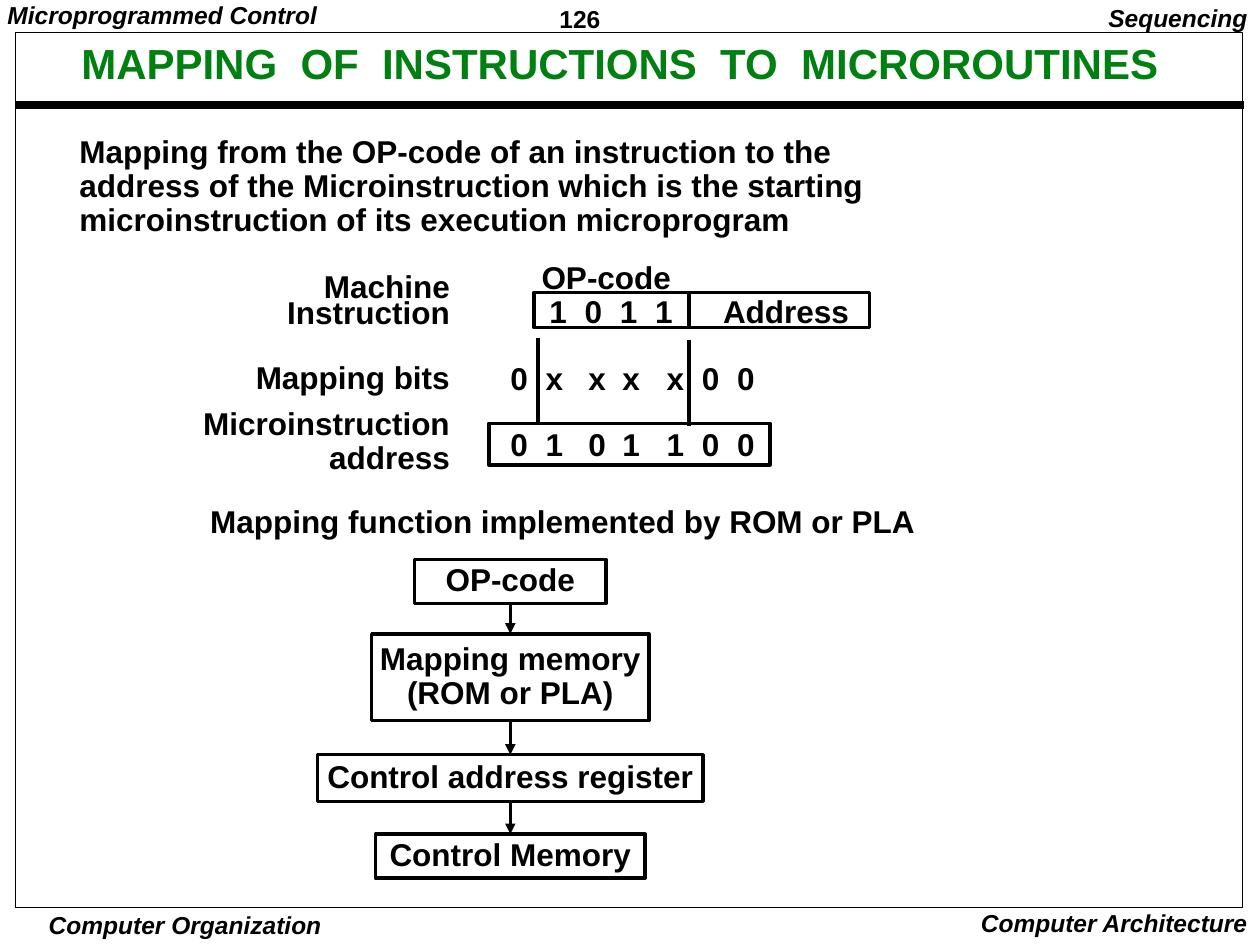
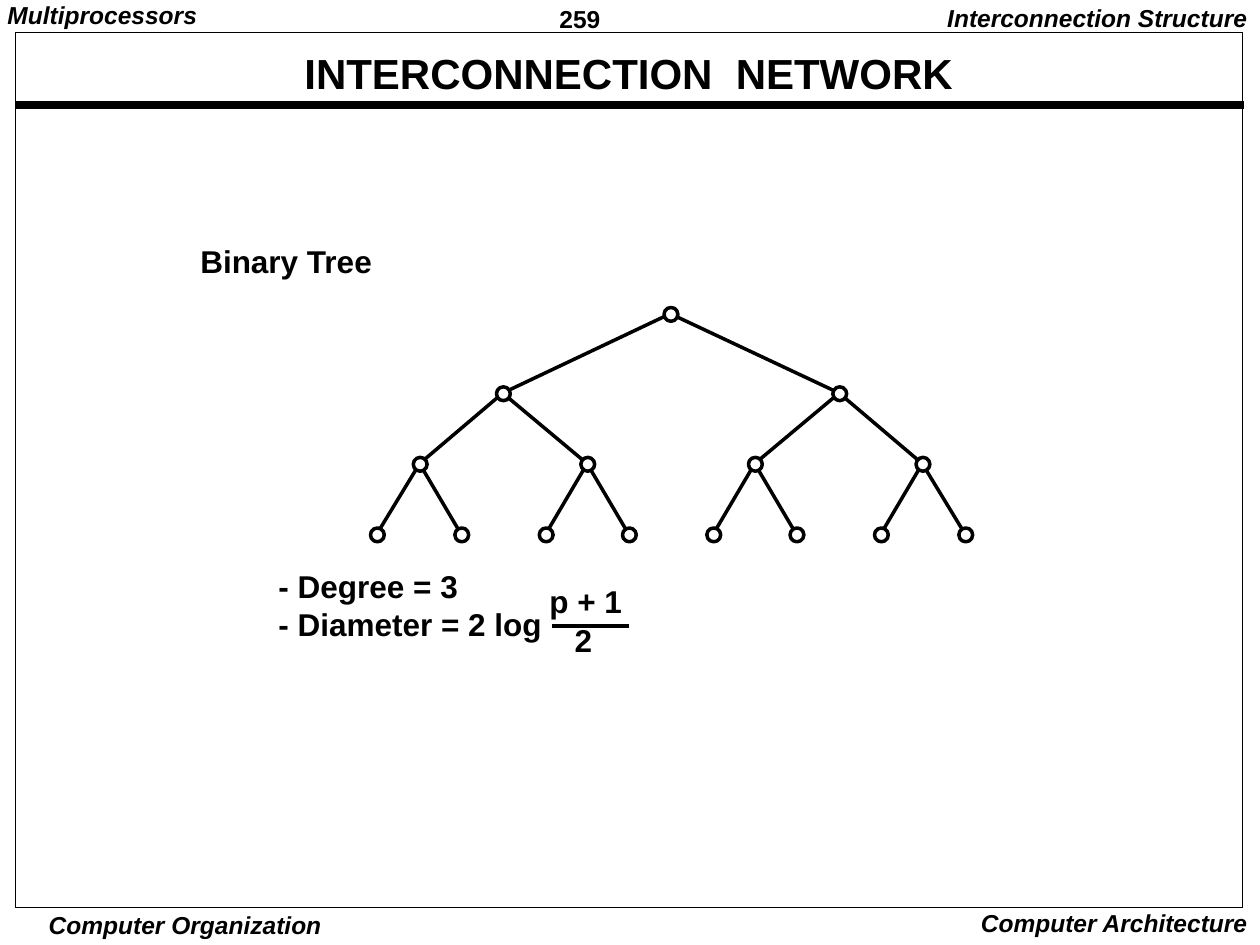
import pptx
import pptx.util
import pptx.dml.color
import pptx.enum.shapes
import pptx.enum.text
import pptx.oxml.ns
import lxml.etree
from dataclasses import dataclass

PX = 9144
ALIGN = pptx.enum.text.PP_ALIGN
ANCHOR = pptx.enum.text.MSO_ANCHOR
SHAPE = pptx.enum.shapes.MSO_SHAPE
STRAIGHT = pptx.enum.shapes.MSO_CONNECTOR.STRAIGHT
qn = pptx.oxml.ns.qn


@dataclass(frozen=True)
class Theme:
    font: str = "Arial"
    ink: pptx.dml.color.RGBColor = pptx.dml.color.RGBColor(0, 0, 0)
    paper: pptx.dml.color.RGBColor = pptx.dml.color.RGBColor(255, 255, 255)
    green: pptx.dml.color.RGBColor = pptx.dml.color.RGBColor(0, 0x80, 0x11)
    title: int = 24
    text: int = 18
    running: int = 14
    frame: float = 0.5
    stroke: float = 2
    band: float = 4.5


theme = Theme()


def write(frame, lines, size=theme.text, color=theme.ink, align=ALIGN.LEFT, spacing=0.9,
          italic=False, inset=(10, 5), anchor=ANCHOR.TOP):
    side, edge = inset[0] * PX, inset[1] * PX
    frame_format = {"word_wrap": True, "auto_size": pptx.enum.text.MSO_AUTO_SIZE.NONE,
                    "vertical_anchor": anchor, "margin_left": side, "margin_right": side,
                    "margin_top": edge, "margin_bottom": edge}
    para_format = {"alignment": align, "line_spacing": spacing, "space_before": 0}
    font_format = {"name": theme.font, "size": pptx.util.Pt(size), "bold": True, "italic": italic}
    for name, value in frame_format.items():
        setattr(frame, name, value)
    for index, line in enumerate(lines):
        para = frame.add_paragraph() if index else frame.paragraphs[0]
        properties = para._p.get_or_add_pPr()
        properties.set("marL", "0")
        properties.set("indent", "0")
        lxml.etree.SubElement(properties, qn("a:buNone"))
        for name, value in para_format.items():
            setattr(para, name, value)
        span = para.add_run()
        span.text = line
        for name, value in font_format.items():
            setattr(span.font, name, value)
        span.font.color.rgb = color


def draw_line(page, ends, weight=theme.stroke):
    line = page.shapes.add_connector(STRAIGHT, *[end * PX for end in ends])
    line.line.width = pptx.util.Pt(weight)
    line.line.color.rgb = theme.ink
    lxml.etree.SubElement(line._element.spPr, qn("a:effectLst"))
    return line


deck = pptx.Presentation()
deck.slide_width, deck.slide_height = 1000 * PX, 750 * PX

paragraph = ["Mapping from the OP-code of an instruction to the",
             "address of the Microinstruction which is the starting",
             "microinstruction of its execution microprogram"]
facts = ["- Degree = 3", "- Diameter = 2 log"]
right = {"align": ALIGN.RIGHT}
small = {"inset": (7, 3)}

address_columns = (405, 433, 467, 494, 529, 557, 585)
bit_rows = [("1011", (436, 464, 492, 520), 235),
            ("0xxxx00", address_columns, 288),
            ("0101100", address_columns, 341)]
bit_labels = [([bit], (left, top, 20, 27), {"inset": (0, 0)})
              for bits, columns, top in bit_rows for bit, left in zip(bits, columns)]

contents = [
    {"chapter": "Microprogrammed Control", "number": "126", "section": "Sequencing",
     "title": "MAPPING  OF  INSTRUCTIONS  TO  MICROROUTINES", "color": theme.green,
     "title_at": (0, 20, 984, 65),
     "body": paragraph, "body_at": (53, 103, 660, 91), "body_format": {},
     "labels": [
         (["OP-code"], (420, 203, 130, 37), {}),
         (["Address"], (564, 230, 124, 37), {}),
         (["Machine", "Instruction"], (207, 215, 160, 52), {**right, "spacing": 0.7}),
         (["Mapping bits"], (187, 283, 180, 37), right),
         (["Microinstruction", "address"], (137, 319, 230, 64), right),
         (["Mapping function implemented by ROM or PLA"], (157, 397, 600, 37), {}),
         *bit_labels]},
    {"chapter": "Multiprocessors", "number": "259", "section": "Interconnection Structure",
     "title": "INTERCONNECTION  NETWORK", "color": theme.ink,
     "title_at": (18, 34, 962, 53),
     "body": facts, "body_at": (214, 447, 240, 66), "body_format": {**small, "spacing": 1.01},
     "labels": [
         (["Binary Tree"], (152, 189, 160, 36), {**small, "spacing": 1.01}),
         (["p + 1"], (429, 462, 80, 33), small),
         (["2"], (449, 493, 30, 33), small)]},
]

pages = []
for content in contents:
    page = deck.slides.add_slide(deck.slide_layouts[1])
    pages.append(page)

    draw_line(page, (12, 83, 987, 83), theme.band)
    border = page.shapes.add_shape(SHAPE.RECTANGLE, 12 * PX, 26 * PX, 974 * PX, 694 * PX)
    border.shadow.inherit = False
    border.fill.background()
    border.line.color.rgb = theme.ink
    border.line.width = pptx.util.Pt(theme.frame)

    title, body = page.placeholders
    for holder, place in ((title, content["title_at"]), (body, content["body_at"])):
        for name, value in zip(("left", "top", "width", "height"), place):
            setattr(holder, name, value * PX)
    write(title.text_frame, [content["title"]], size=theme.title, color=content["color"],
          align=ALIGN.CENTER, anchor=ANCHOR.MIDDLE)
    write(body.text_frame, content["body"], **content["body_format"])

    running = {"size": theme.running, "italic": True}
    running_labels = [
        ([content["chapter"]], (0, 0, 270, 27), {**running, "inset": (6, 3)}),
        ([content["number"]], (437, 0, 108, 29),
         {**small, "size": theme.running, "spacing": 1.01}),
        ([content["section"]], (740, 0, 260, 31), {**running, **right}),
        (["Computer Organization"], (36, 721, 222, 26),
         {**running, "align": ALIGN.CENTER, "spacing": 1.0, "inset": (0, 1)}),
        (["Computer Architecture"], (760, 716, 240, 33), {**running, **right, "spacing": 1.0}),
    ]
    for lines, place, text_format in running_labels + content["labels"]:
        label = page.shapes.add_textbox(*[value * PX for value in place])
        write(label.text_frame, lines, **text_format)

mapping, network = pages

flow_middle = 405
flow = [(["OP-code"], 444, 152, 35),
        (["Mapping memory", "(ROM or PLA)"], 503, 220, 69),
        (["Control address register"], 599, 306, 37),
        (["Control Memory"], 662, 214, 35)]
registers = [([], (424, 232, 266, 28)), ([], (388, 336, 223, 33))]
for lines, top, width, height in flow:
    registers.append((lines, (flow_middle - width // 2, top, width, height)))

boxes = []
for lines, place in registers:
    box = mapping.shapes.add_shape(SHAPE.RECTANGLE, *[value * PX for value in place])
    box.shadow.inherit = False
    box.fill.background()
    box.line.color.rgb = theme.ink
    box.line.width = pptx.util.Pt(theme.stroke)
    write(box.text_frame, lines, align=ALIGN.CENTER, inset=(0, 0), anchor=ANCHOR.MIDDLE)
    boxes.append(box)

for ends in ((547, 232, 547, 261), (427, 268, 427, 335), (547, 270, 547, 338)):
    draw_line(mapping, ends)

steps = boxes[2:]
for upper, lower in zip(steps, steps[1:]):
    arrow = draw_line(mapping, (0, 0, 0, 0))
    arrow.begin_connect(upper, 2)
    arrow.end_connect(lower, 0)
    lxml.etree.SubElement(arrow.line._get_or_add_ln(), qn("a:tailEnd"), type="triangle")

draw_line(network, (438, 497, 499, 497))

tree_left, tree_width, node_size = 266, 533, 11
level_heights = (249, 312, 368, 424)
levels = [[(round(tree_left + tree_width * (i + 0.5) / 2 ** depth), height)
           for i in range(2 ** depth)] for depth, height in enumerate(level_heights)]
for parents, children in zip(levels, levels[1:]):
    for i, child in enumerate(children):
        draw_line(network, (*parents[i // 2], *child))
for level in levels:
    for x, y in level:
        node = network.shapes.add_shape(SHAPE.OVAL, (x - node_size // 2) * PX,
                                        (y - node_size // 2) * PX,
                                        node_size * PX, node_size * PX)
        node.shadow.inherit = False
        node.fill.solid()
        node.fill.fore_color.rgb = theme.paper
        node.line.color.rgb = theme.ink
        node.line.width = pptx.util.Pt(theme.stroke)

deck.save("out.pptx")
